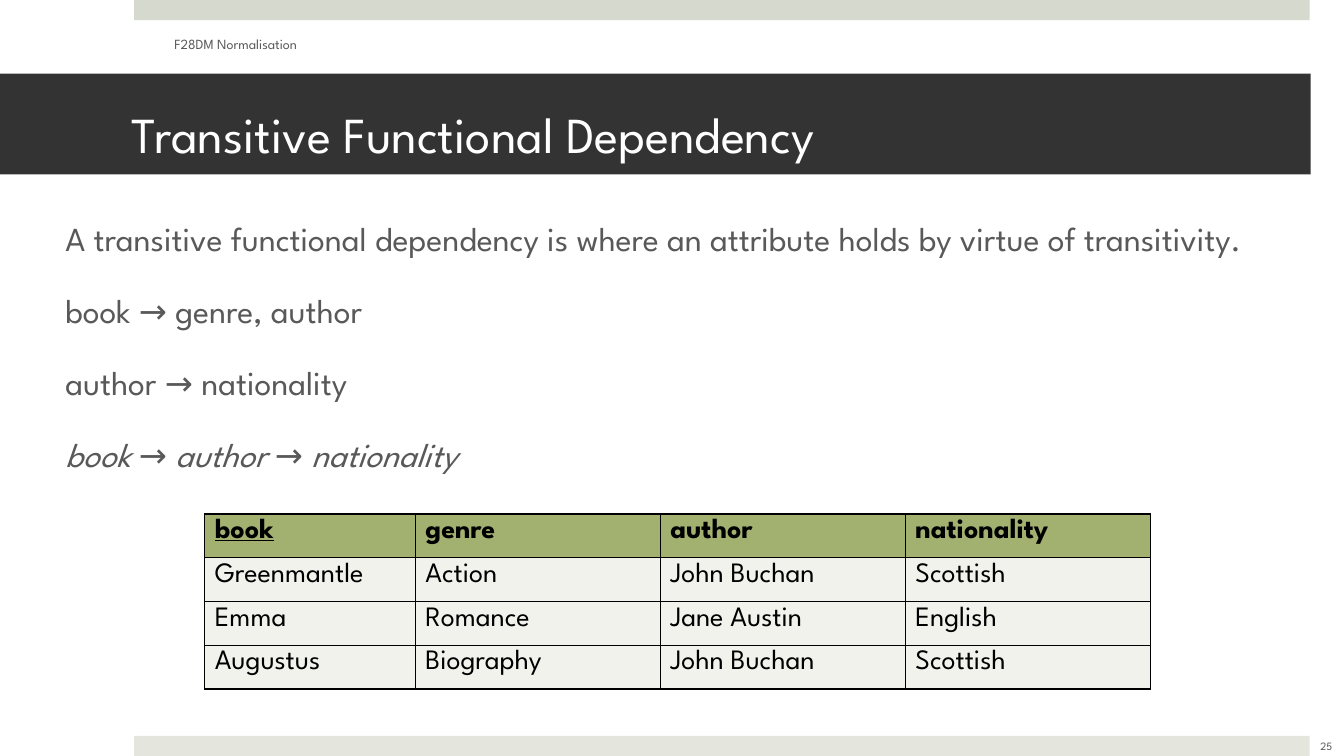
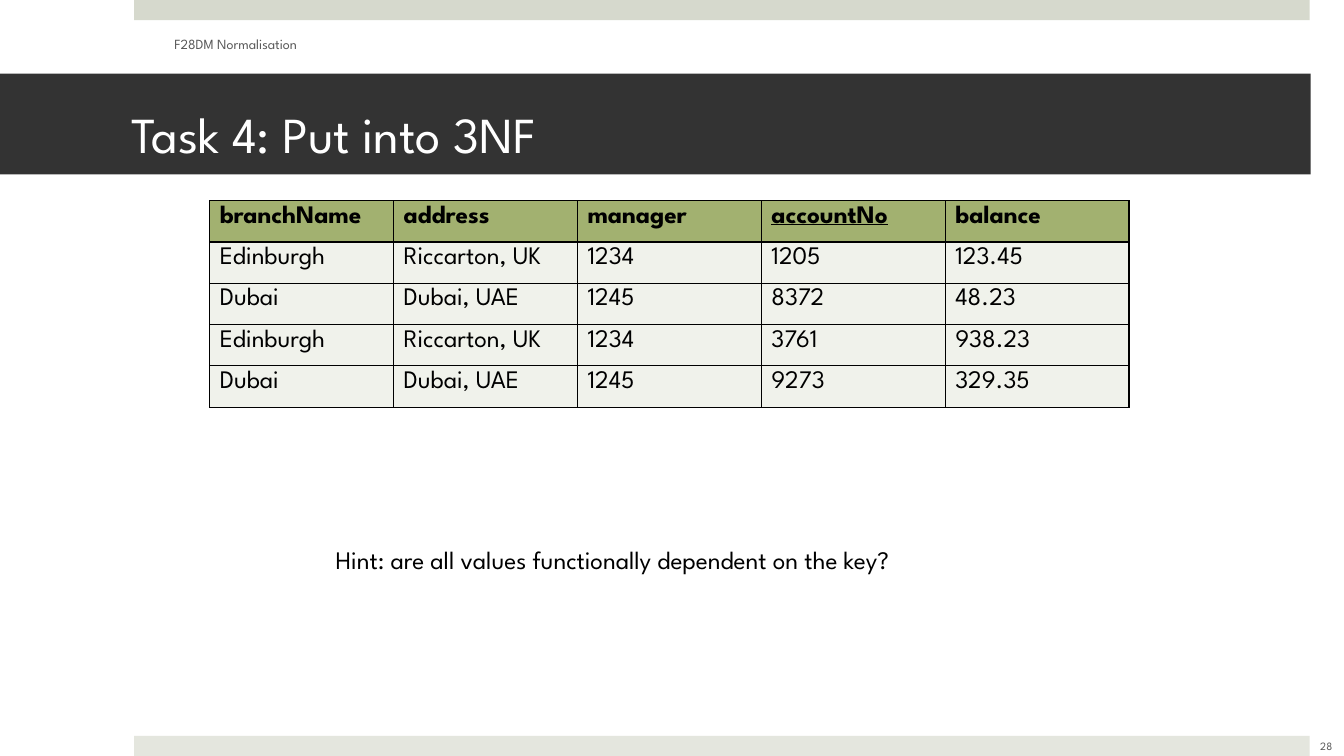
"""Build two lecture slides on transitive dependency and third normal form."""
from pptx import Presentation
from pptx.dml.color import RGBColor
from pptx.enum.shapes import MSO_SHAPE as Shape
from pptx.enum.text import MSO_ANCHOR as Anchor, PP_ALIGN as Align
from pptx.oxml import parse_xml
from pptx.oxml.ns import nsdecls
from pptx.util import Inches, Pt

FONT = "League Spartan"
WHITE = RGBColor(0xFF, 0xFF, 0xFF)
BLACK = RGBColor(0, 0, 0)
GREY = RGBColor(0x59, 0x59, 0x59)
CHARCOAL = RGBColor(0x33, 0x33, 0x33)
TOP_BAND = RGBColor(0xD6, 0xD9, 0xCD)
BOTTOM_BAND = RGBColor(0xE4, 0xE6, 0xDE)
HEADER_FILL = RGBColor(0xA2, 0xB1, 0x70)
ROW_FILL = RGBColor(0xF0, 0xF2, 0xEB)

LINE_SPACING = 1.3
ROW_HEIGHT = 0.41
BANDS = [((1.33, 0, 11.66, 0.2), TOP_BAND), ((1.33, 7.3, 11.66, 0.2), BOTTOM_BAND)]
TITLE_BOX = (0, 0.73, 13, 1)
COURSE = "F28DM Normalisation"
COURSE_BOX = (1.63, 0.21, 4.22, 0.4)
NUMBER_BOX = (12.82, 7.18, 0.67, 0.4)

SLIDES = [
    {
        "title": "Transitive Functional Dependency",
        "number": "25",
        "text": {
            "box": (0.55, 1.99, 12.18, 5.19),
            "size": 24,
            "color": GREY,
            "lines": [
                ("A transitive functional dependency is where an attribute holds "
                 "by virtue of transitivity.", {}),
                ("book → genre, author", {}),
                ("author → nationality", {}),
                ("book → author → nationality", {"italic": True}),
            ],
        },
        "table": {
            "position": (2.03, 5.1),
            "columns": [2.09, 2.43, 2.43, 2.43],
            "header_height": 0.36,
            "size": 20,
            "key": "book",
            "rows": [
                ("book", "genre", "author", "nationality"),
                ("Greenmantle", "Action", "John Buchan", "Scottish"),
                ("Emma", "Romance", "Jane Austin", "English"),
                ("Augustus", "Biography", "John Buchan", "Scottish"),
            ],
        },
    },
    {
        "title": "Task 4: Put into 3NF",
        "number": "28",
        "text": {
            "box": (3.23, 5.26, 6.88, 0.4),
            "size": 18,
            "color": BLACK,
            "lines": [("Hint: are all values functionally dependent on the key?", {})],
        },
        "table": {
            "position": (2.08, 1.99),
            "columns": [1.824] * 5,
            "header_height": ROW_HEIGHT,
            "size": 18,
            "key": "accountNo",
            "rows": [
                ("branchName", "address", "manager", "accountNo", "balance"),
                ("Edinburgh", "Riccarton, UK", "1234", "1205", "123.45"),
                ("Dubai", "Dubai, UAE", "1245", "8372", "48.23"),
                ("Edinburgh", "Riccarton, UK", "1234", "3761", "938.23"),
                ("Dubai", "Dubai, UAE", "1245", "9273", "329.35"),
            ],
        },
    },
]


def set_values(target, values):
    for name, value in values.items():
        setattr(target, name, value)


def add_run(paragraph, text, size, color, **formats):
    run = paragraph.add_run()
    run.text = text
    set_values(run.font, {"name": FONT, "size": Pt(size), **formats})
    run.font.color.rgb = color


def write_lines(shape, lines, size, color, align=Align.LEFT, **frame_values):
    frame = shape.text_frame
    set_values(frame, {"word_wrap": True, **frame_values})
    for index, (text, formats) in enumerate(lines):
        paragraph = frame.add_paragraph() if index else frame.paragraphs[0]
        spacing = {"space_before": Pt(14 if index else 0), "line_spacing": LINE_SPACING}
        set_values(paragraph, {"alignment": align, **spacing})
        add_run(paragraph, text, size, color, **formats)


def add_textbox(slide, box, lines, size, color, **values):
    shape = slide.shapes.add_textbox(*map(Inches, box))
    write_lines(shape, lines, size, color, **values)


def add_band(slide, box, color):
    shape = slide.shapes.add_shape(Shape.RECTANGLE, *map(Inches, box))
    shape.shadow.inherit = False
    shape.fill.solid()
    shape.fill.fore_color.rgb = color
    shape.line.fill.background()
    return shape


def add_frame(slide, title, number):
    for box, color in BANDS:
        add_band(slide, box, color)
    title_band = add_band(slide, TITLE_BOX, CHARCOAL)
    write_lines(title_band, [(title, {})], 36, WHITE, vertical_anchor=Anchor.MIDDLE,
                margin_left=Inches(1.3), margin_right=Inches(0.3))
    add_textbox(slide, COURSE_BOX, [(COURSE, {})], 10, GREY,
                vertical_anchor=Anchor.MIDDLE)
    add_textbox(slide, NUMBER_BOX, [(number, {})], 8, GREY, align=Align.CENTER,
                vertical_anchor=Anchor.MIDDLE)


def add_borders(cell):
    properties = cell._tc.get_or_add_tcPr()
    for side in "LRTB":
        properties.append(parse_xml(
            f'<a:ln{side} {nsdecls("a")} w="{Pt(1)}"><a:solidFill>'
            f'<a:srgbClr val="{BLACK}"/></a:solidFill></a:ln{side}>'))


def add_data_table(slide, position, columns, header_height, size, key, rows):
    heights = [header_height] + [ROW_HEIGHT] * (len(rows) - 1)
    box = (*position, sum(columns), sum(heights))
    table = slide.shapes.add_table(len(rows), len(columns), *map(Inches, box)).table
    table.horz_banding = False
    for column, width in zip(table.columns, columns):
        column.width = Inches(width)
    for row_index, (row, height, values) in enumerate(zip(table.rows, heights, rows)):
        row.height = Inches(height)
        is_header = row_index == 0
        for cell, value in zip(row.cells, values):
            add_borders(cell)
            cell.fill.solid()
            cell.fill.fore_color.rgb = HEADER_FILL if is_header else ROW_FILL
            add_run(cell.text_frame.paragraphs[0], value, size, BLACK,
                    bold=is_header, underline=is_header and value == key)


def main():
    presentation = Presentation()
    presentation.slide_width = Inches(13.33)
    presentation.slide_height = Inches(7.5)
    for content in SLIDES:
        slide = presentation.slides.add_slide(presentation.slide_layouts[6])
        add_frame(slide, content["title"], content["number"])
        add_textbox(slide, **content["text"])
        add_data_table(slide, **content["table"])
    presentation.save("out.pptx")


if __name__ == "__main__":
    main()
